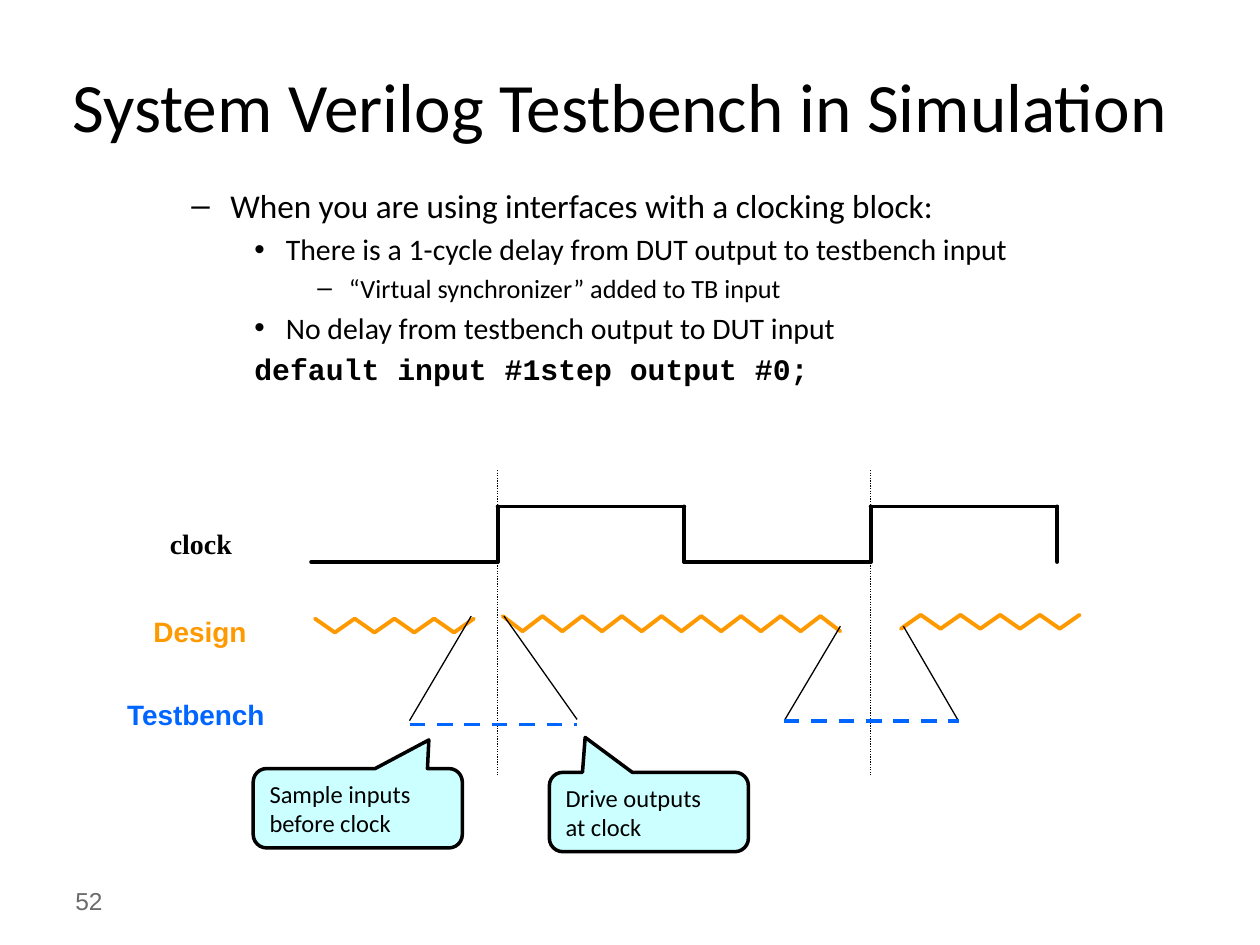
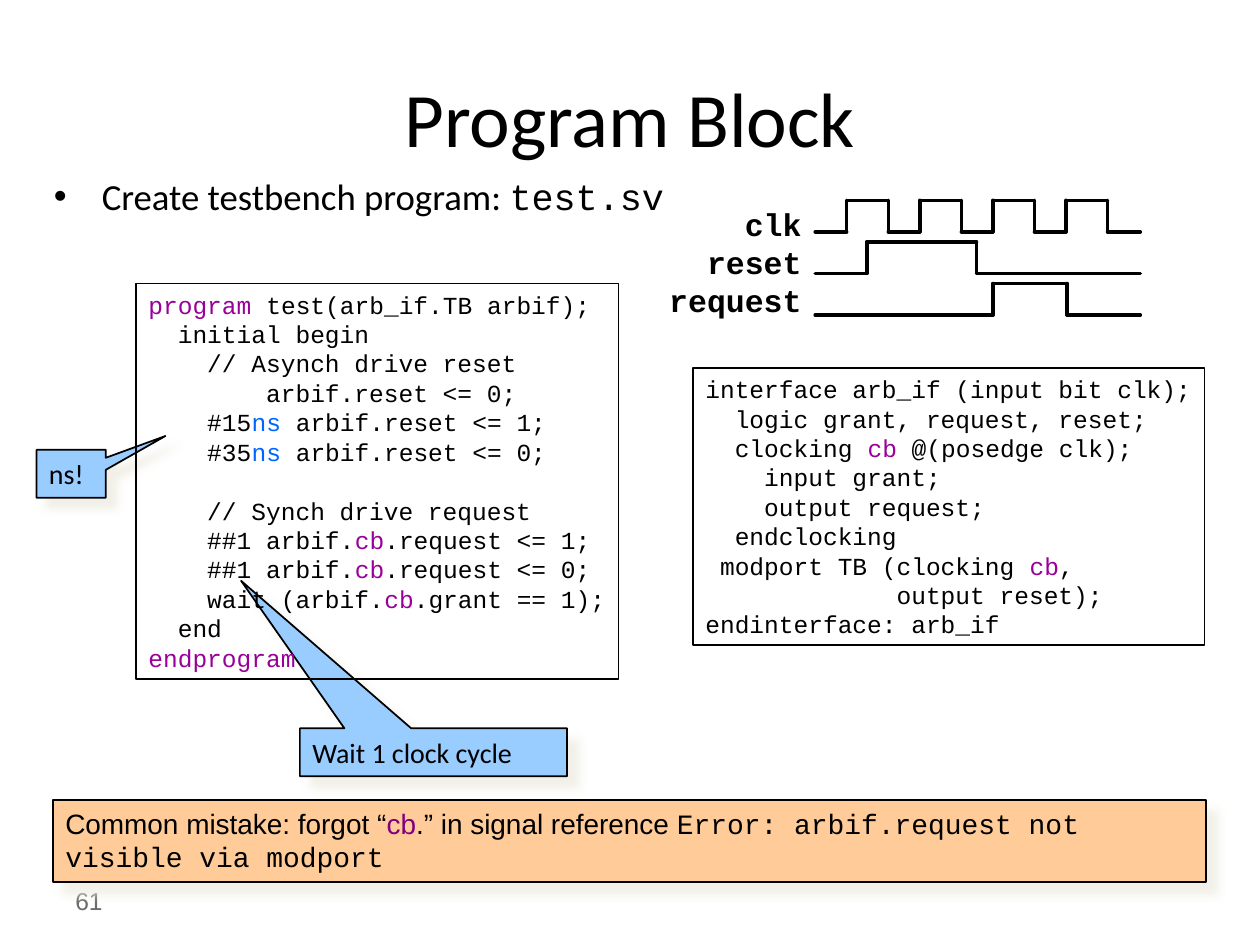
from dataclasses import dataclass
from itertools import pairwise

from lxml.etree import SubElement
from pptx import Presentation
from pptx.dml.color import RGBColor
from pptx.enum.dml import MSO_LINE
from pptx.enum.shapes import MSO_CONNECTOR, MSO_SHAPE
from pptx.enum.text import MSO_ANCHOR, PP_ALIGN
from pptx.oxml.ns import qn
from pptx.util import Inches, Pt


# Theme: colours, fonts and type sizes
@dataclass(frozen=True)
class Theme:
    black: str = "000000"
    grey: str = "6B6B6B"
    orange: str = "FF9900"
    blue: str = "0066FF"
    purple: str = "990099"
    dark_purple: str = "800080"
    aqua_fill: str = "CCFFFF"
    sky_fill: str = "99CCFF"
    peach_fill: str = "FFCC99"
    shadow: str = "EEECE1"
    body: str = "Calibri"
    sans: str = "Arial"
    mono: str = "Courier New"
    serif: str = "Times New Roman"
    small: int = 14
    label: int = 16
    signal: int = 18


THEME = Theme()

# Run styles: (font, colour), None keeps that of the paragraph
RUN_STYLES = {
    "keyword": (None, THEME.purple),
    "unit": (None, THEME.blue),
    "mention": (None, THEME.dark_purple),
    "code": (THEME.mono, None),
}

# Content: simulation slide
SIMULATION_TITLE = "System Verilog Testbench in Simulation"
# (text, size, left margin, hanging indent, bullet, font)
SIMULATION_POINTS = [
    ("When you are using interfaces with a clocking block:", 19, 0.81, 0.31, "–", THEME.body),
    ("There is a 1-cycle delay from DUT output to testbench input", 17, 1.25, 0.25, "•", THEME.body),
    ("“Virtual synchronizer” added to TB input", 15, 1.75, 0.25, "–", THEME.body),
    ("No delay from testbench output to DUT input", 17, 1.25, 0.25, "•", THEME.body),
    ("default input #1step output #0;", 17, 1.25, 0.25, None, THEME.mono),
]
# (text, box, font, colour)
ROW_LABELS = [
    ("clock", (1.25, 4.13, 0.69, 0.37), THEME.serif, THEME.black),
    ("Design", (1.12, 4.83, 0.94, 0.37), THEME.sans, THEME.orange),
    ("Testbench", (0.91, 5.49, 1.31, 0.37), THEME.sans, THEME.blue),
]
CLOCK_START, HALF_PERIOD = 2.47, 1.48
# Design activity: (left, first y, second y, strokes)
DESIGN_BURSTS = [(2.5, 4.91, 5.02, 8), (3.99, 4.89, 5.01, 17), (7.15, 4.99, 4.88, 9)]
SAMPLING_LINES = [
    ((3.74, 4.89), (3.25, 5.72)),
    ((4, 4.89), (4.58, 5.71)),
    ((6.67, 4.97), (6.23, 5.71)),
    ((7.17, 4.97), (7.6, 5.71)),
]
TESTBENCH_LINES = [((3.25, 5.75), (4.58, 5.75)), ((6.22, 5.72), (7.61, 5.72))]
# (lines, box, pointer adjustments)
EDGE_CALLOUTS = [
    (["Sample inputs", "before clock"], (2.01, 6.1, 1.66, 0.63), (0.34, -0.86, 0.17)),
    (["Drive outputs", "at clock"], (4.36, 6.13, 1.58, 0.63), (-0.32, -0.94, 0.17)),
]

# Content: program slide
PROGRAM_TITLE = "Program Block"
PROGRAM_POINT = ("Create testbench program: ", ("test.sv", "code"))
CB = ("cb", "keyword")
NS = ("ns", "unit")
PROGRAM_CODE = [
    (("program", "keyword"), " test(arb_if.TB arbif);"),
    "  initial begin",
    "    // Asynch drive reset",
    "        arbif.reset <= 0;",
    ("    #15", NS, " arbif.reset <= 1;"),
    ("    #35", NS, " arbif.reset <= 0;"),
    "    // Synch drive request",
    ("    ##1 arbif.", CB, ".request <= 1;"),
    ("    ##1 arbif.", CB, ".request <= 0;"),
    ("    wait (arbif.", CB, ".grant == 1);"),
    "  end",
    (("endprogram", "keyword"),),
]
SYNCH_LINE = 6  # set off from the lines above it by one line
INTERFACE_CODE = [
    "interface arb_if (input bit clk);",
    "  logic grant, request, reset;",
    ("  clocking ", CB, " @(posedge clk);"),
    "    input grant;",
    "    output request;",
    "  endclocking",
    (" modport TB (clocking ", CB, ","),
    "             output reset);",
    "endinterface: arb_if",
]
CODE_CALLOUTS = [
    ("Wait 1 clock cycle", (2.38, 5.78, 2.12, 0.38), (-0.72, -3.58)),
    ("ns!", (0.29, 3.57, 0.55, 0.38), (1.36, -0.79)),
]
MISTAKE = (
    "Common mistake: forgot “", ("cb", "mention"), ".” in signal reference ",
    ("Error: arbif.request not visible via modport", "code"),
)
# Signal name and the times at which it toggles
SIGNALS = {
    "clk": [6.72 + 0.58 * cycle + width for cycle in range(4) for width in (0, 0.33)],
    "reset": [6.88, 7.75],
    "request": [7.88, 8.47],
}


# Text helpers
def color(code):
    return RGBColor.from_string(code)


def style_font(font, name, size, colour, bold=False):
    font.name, font.size, font.bold = name, Pt(size), bold
    font.color.rgb = color(colour)


def add_runs(paragraph, parts):
    for part in (parts,) if isinstance(parts, str) else parts:
        text, style = (part, None) if isinstance(part, str) else part
        run = paragraph.add_run()
        run.text = text
        font_name, colour = RUN_STYLES.get(style, (None, None))
        if font_name:
            run.font.name = font_name
        if colour:
            run.font.color.rgb = color(colour)


def write(shape, lines, font, size, colour=THEME.black, bold=False,
          align=PP_ALIGN.LEFT, anchor=MSO_ANCHOR.TOP, wrap=True):
    frame = shape.text_frame
    frame.word_wrap, frame.vertical_anchor = wrap, anchor
    for index, line in enumerate(lines):
        paragraph = frame.add_paragraph() if index else frame.paragraphs[0]
        add_runs(paragraph, line)
        paragraph.alignment = align
        style_font(paragraph.font, font, size, colour, bold)
    return frame


def hang(paragraph, margin, hanging, bullet):
    properties = paragraph._p.get_or_add_pPr()
    properties.set("marL", str(Inches(margin)))
    properties.set("indent", str(-Inches(hanging)))
    if bullet:
        SubElement(properties, qn("a:buFont")).set("typeface", THEME.sans)
        SubElement(properties, qn("a:buChar")).set("char", bullet)


# Shape helpers
def add_text(slide, box, lines, *style, **options):
    text_box = slide.shapes.add_textbox(*map(Inches, box))
    return write(text_box, lines, *style, **options)


def add_box(slide, kind, box, fill, line_width, adjustments=()):
    shape = slide.shapes.add_shape(kind, *map(Inches, box))
    for index, value in enumerate(adjustments):
        shape.adjustments[index] = value
    if fill:
        shape.fill.solid()
        shape.fill.fore_color.rgb = color(fill)
    else:
        shape.fill.background()
    shape.line.color.rgb = color(THEME.black)
    shape.line.width = Pt(line_width)
    shape.shadow.inherit = False
    return shape


def cast_shadow(shape):
    effects = shape.element.spPr.find(qn("a:effectLst"))
    shadow = SubElement(effects, qn("a:outerShdw"), blurRad=str(Pt(5)), dist=str(Pt(8.5)),
                        dir="2700000", algn="ctr", rotWithShape="0")
    tint = SubElement(shadow, qn("a:srgbClr"), val=THEME.shadow)
    SubElement(tint, qn("a:alpha"), val="75000")


def add_line(slide, start, end, colour, width, dash=None, cap="flat"):
    connector = slide.shapes.add_connector(MSO_CONNECTOR.STRAIGHT, *map(Inches, (*start, *end)))
    connector.line.color.rgb = color(colour)
    connector.line.width = Pt(width)
    if dash:
        connector.line.dash_style = dash
    properties = connector.element.spPr
    properties.get_or_add_ln().set("cap", cap)
    SubElement(properties, qn("a:effectLst"))


def add_wave(slide, points, colour, width):
    for start, end in pairwise(points):
        if start != end:
            add_line(slide, start, end, colour, width, cap="rnd")


def square_wave(start, edges, end, low, high):
    """Points of a signal that starts low and toggles at each edge."""
    points, level, other = [(start, low)], low, high
    for edge in edges:
        points += [(edge, level), (edge, other)]
        level, other = other, level
    return points + [(end, level)]


# Shared slide frame: title and slide number
def add_slide(presentation, title, box, size, number):
    slide = presentation.slides.add_slide(presentation.slide_layouts[5])
    holder = slide.shapes.title
    holder.left, holder.top, holder.width, holder.height = map(Inches, box)
    write(holder, [title], THEME.body, size, align=PP_ALIGN.CENTER, anchor=MSO_ANCHOR.MIDDLE)
    add_text(slide, (0.5, 6.95, 2.33, 0.4), [str(number)], THEME.sans, THEME.small,
             THEME.grey, anchor=MSO_ANCHOR.MIDDLE)
    return slide


def build_simulation(presentation):
    slide = add_slide(presentation, SIMULATION_TITLE, (0.42, 0.42, 9, 0.83), 39.6, 52)

    # Points
    frame = add_text(slide, (0.92, 1.42, 8.22, 2), [], THEME.body, THEME.label)
    for index, (text, size, margin, hanging, bullet, font) in enumerate(SIMULATION_POINTS):
        paragraph = frame.add_paragraph() if index else frame.paragraphs[0]
        hang(paragraph, margin, hanging, bullet)
        add_runs(paragraph, text)
        paragraph.space_before = Pt(0.2 * size if index else 0)
        style_font(paragraph.font, font, size, THEME.black, font == THEME.mono)

    # Timing diagram
    edges = [CLOCK_START + HALF_PERIOD * count for count in range(1, 5)]
    for rising in edges[::2]:
        add_line(slide, (rising, 3.73), (rising, 6.15), THEME.black, 0.75, MSO_LINE.ROUND_DOT)
    add_wave(slide, square_wave(CLOCK_START, edges, edges[-1], 4.46, 4.02), THEME.black, 2.25)
    for left, first, second, strokes in DESIGN_BURSTS:
        zigzag = [(left + 0.16 * step * 0.985, second if step % 2 else first)
                  for step in range(strokes + 1)]
        add_wave(slide, zigzag, THEME.orange, 2.25)
    for start, end in SAMPLING_LINES:
        add_line(slide, start, end, THEME.black, 0.75)
    for start, end in TESTBENCH_LINES:
        add_line(slide, start, end, THEME.blue, 2.25, MSO_LINE.DASH)
    for text, box, font, colour in ROW_LABELS:
        add_text(slide, box, [text], font, THEME.label, colour, bold=True, wrap=False)

    # Callouts
    for lines, box, pointer in EDGE_CALLOUTS:
        callout = add_box(slide, MSO_SHAPE.ROUNDED_RECTANGULAR_CALLOUT, box,
                          THEME.aqua_fill, 2, pointer)
        write(callout, lines, THEME.body, THEME.small, anchor=MSO_ANCHOR.MIDDLE)


def build_program(presentation):
    slide = add_slide(presentation, PROGRAM_TITLE, (0.5, 0.3, 9, 1.25), 44, 61)

    # Point
    frame = add_text(slide, (0.33, 1.33, 8.1, 0.5), [], THEME.body, THEME.label)
    paragraph = frame.paragraphs[0]
    hang(paragraph, 0.38, 0.38, "•")
    add_runs(paragraph, PROGRAM_POINT)
    style_font(paragraph.font, THEME.body, 21, THEME.black)

    # Callouts and warning
    for text, box, pointer in CODE_CALLOUTS:
        callout = add_box(slide, MSO_SHAPE.RECTANGULAR_CALLOUT, box, THEME.sky_fill, 1, pointer)
        cast_shadow(callout)
        write(callout, [text], THEME.body, THEME.label, anchor=MSO_ANCHOR.MIDDLE)
    warning = add_box(slide, MSO_SHAPE.RECTANGLE, (0.42, 6.35, 9.15, 0.65), THEME.peach_fill, 1)
    cast_shadow(warning)
    write(warning, [MISTAKE], THEME.sans, THEME.label)

    # Signals
    add_text(slide, (5.21, 1.58, 1.25, 1), list(SIGNALS), THEME.mono, THEME.signal,
             bold=True, align=PP_ALIGN.RIGHT, wrap=False)
    for row, toggles in enumerate(SIGNALS.values()):
        low = 1.84 + 0.33 * row
        add_wave(slide, square_wave(6.47, toggles, 9.05, low, low - 0.25), THEME.black, 2)

    # Code
    program = add_box(slide, MSO_SHAPE.RECTANGLE, (1.08, 2.25, 3.83, 3.14), None, 0.75)
    frame = write(program, PROGRAM_CODE, THEME.mono, THEME.small, wrap=False)
    frame.paragraphs[SYNCH_LINE].space_before = Pt(1.2 * THEME.small)
    interface = add_box(slide, MSO_SHAPE.RECTANGLE, (5.5, 2.92, 4.06, 2.2), None, 0.75)
    write(interface, INTERFACE_CODE, THEME.mono, THEME.small, wrap=False)


def main():
    presentation = Presentation()
    presentation.slide_width, presentation.slide_height = Inches(10), Inches(7.5)
    build_simulation(presentation)
    build_program(presentation)
    presentation.save("out.pptx")


if __name__ == "__main__":
    main()
